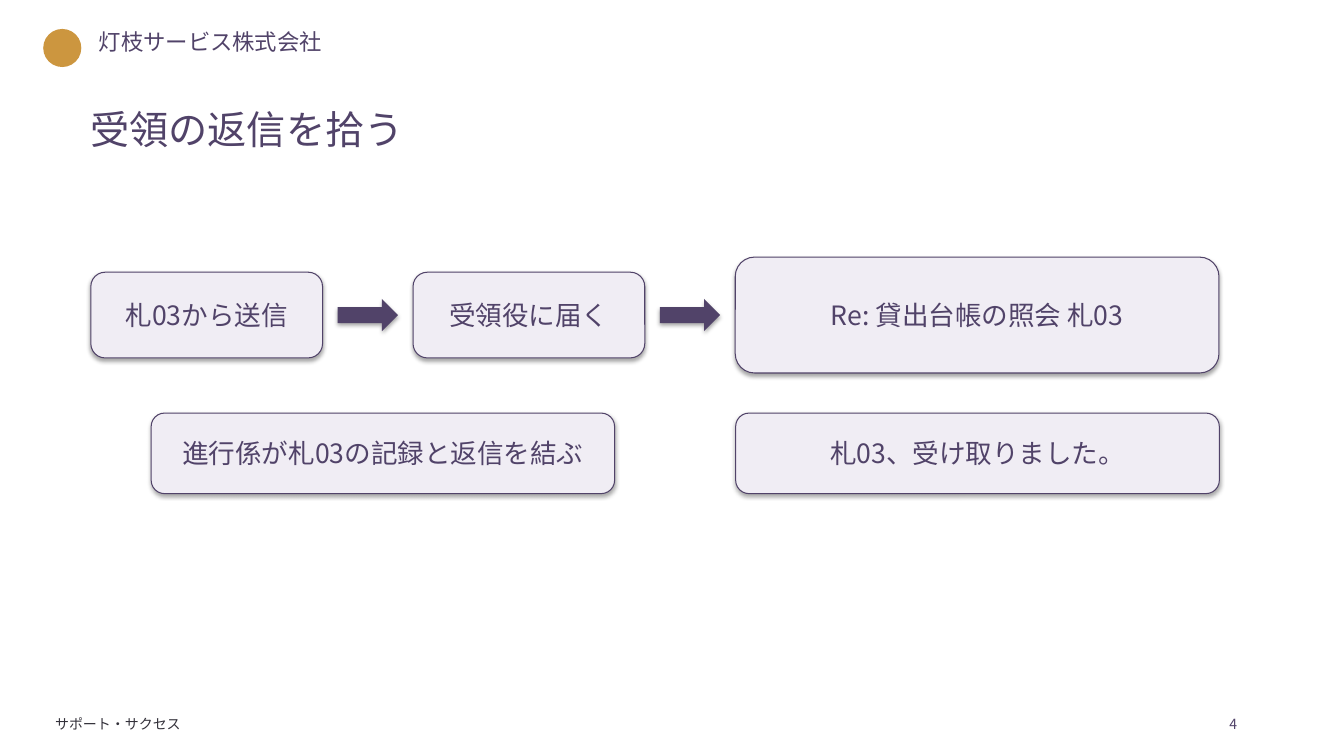
from lxml.etree import SubElement
from pptx import Presentation
from pptx.dml.color import RGBColor
from pptx.enum.shapes import MSO_SHAPE
from pptx.enum.text import MSO_ANCHOR, MSO_AUTO_SIZE, PP_ALIGN
from pptx.oxml.ns import qn
from pptx.util import Cm, Pt

FONT = "Noto Sans CJK JP"
PLUM, LILAC, GOLD, INK = "514369", "F0EDF4", "CC963F", "33313A"
STEP_HEIGHT, RESULT_HEIGHT = 2.16, 2.92
ARROW_WIDTH, ARROW_HEIGHT, GAP = 1.52, 0.81, 0.38


def color(hex_code):
    return RGBColor.from_string(hex_code)


def write(frame, text, size=19, ink=PLUM, align=PP_ALIGN.LEFT,
          anchor=MSO_ANCHOR.TOP, wrap=True):
    frame.word_wrap = wrap
    frame.auto_size = MSO_AUTO_SIZE.NONE if wrap else MSO_AUTO_SIZE.SHAPE_TO_FIT_TEXT
    frame.vertical_anchor = anchor
    paragraph = frame.paragraphs[0]
    paragraph.alignment = align
    run = paragraph.add_run()
    run.text = text
    run.font.size = Pt(size)
    run.font.name = FONT
    run.font.color.rgb = color(ink)
    SubElement(run.font._element, qn("a:ea"), typeface=FONT)


def add_label(slide, box, text, **style):
    label = slide.shapes.add_textbox(*map(Cm, box))
    write(label.text_frame, text, **style)


def add_filled(slide, kind, box, fill, outline=None):
    shape = slide.shapes.add_shape(kind, *map(Cm, box))
    shape.shadow.inherit = False
    shape.fill.solid()
    shape.fill.fore_color.rgb = color(fill)
    if outline:
        shape.line.color.rgb = color(outline)
        shape.line.width = Pt(0.75)
    else:
        shape.line.fill.background()
    return shape


def cast_shadow(shape):
    effects = shape._element.spPr.find(qn("a:effectLst"))
    shadow = SubElement(effects, qn("a:outerShdw"), blurRad=str(Pt(3.1)),
                        dist=str(Pt(1.8)), dir="5400000", rotWithShape="0")
    black = SubElement(shadow, qn("a:srgbClr"), val="000000")
    SubElement(black, qn("a:alpha"), val="35000")


def add_card(slide, box, text):
    card = add_filled(slide, MSO_SHAPE.ROUNDED_RECTANGLE, box, LILAC, PLUM)
    cast_shadow(card)
    write(card.text_frame, text, align=PP_ALIGN.CENTER, anchor=MSO_ANCHOR.MIDDLE)


def add_header(slide, box):
    left, top, width, height = box
    add_filled(slide, MSO_SHAPE.OVAL, (left, top + 0.15, 0.96, 0.96), GOLD)
    add_label(slide, (left + 1.15, top, 7.37, 1.14), "灯枝サービス株式会社",
              size=16, wrap=False)
    add_label(slide, (left + 0.94, top + 1.96, width, height - 1.96),
              "受領の返信を拾う", size=28)


def add_flow(slide, box):
    """Places the steps on one centre line, with an arrow in each gap."""
    left, top, _, height = box
    middle = top + height / 2
    steps = [("札03から送信", 5.84, STEP_HEIGHT),
             ("受領役に届く", 5.84, STEP_HEIGHT),
             ("Re: 貸出台帳の照会 札03", 12.19, RESULT_HEIGHT)]
    for index, (text, step_width, step_height) in enumerate(steps):
        if index:
            arrow = add_filled(
                slide, MSO_SHAPE.RIGHT_ARROW,
                (left + GAP, middle - ARROW_HEIGHT / 2, ARROW_WIDTH, ARROW_HEIGHT), PLUM)
            cast_shadow(arrow)
            left += ARROW_WIDTH + 2 * GAP
        add_card(slide, (left, middle - step_height / 2, step_width, step_height), text)
        left += step_width


def add_replies(slide, box):
    left, top, width, height = box
    reply_width, record_width = 12.19, 11.68
    add_card(slide, (left + width - reply_width, top, reply_width, height),
             "札03、受け取りました。")
    add_card(slide, (left, top, record_width, height),
             "進行係が札03の記録と返信を結ぶ")


def add_footer(slide, box):
    left, top, width, height = box
    add_label(slide, (left, top, 5.33, height), "サポート・サクセス",
              size=10, ink=INK, wrap=False)
    add_label(slide, (left + width - 1.27, top, 1.27, height), "4",
              size=10, wrap=False)


def main():
    deck = Presentation()
    deck.slide_width, deck.slide_height = Cm(33.87), Cm(19.05)
    slide = deck.slides.add_slide(deck.slide_layouts[6])
    add_header(slide, (1.09, 0.58, 29.72, 3.99))
    add_flow(slide, (2.29, 6.48, 28.45, RESULT_HEIGHT))
    add_replies(slide, (3.81, 10.41, 26.92, 2.03))
    add_footer(slide, (1.14, 17.91, 30.86, 0.64))
    deck.save("out.pptx")


if __name__ == "__main__":
    main()
